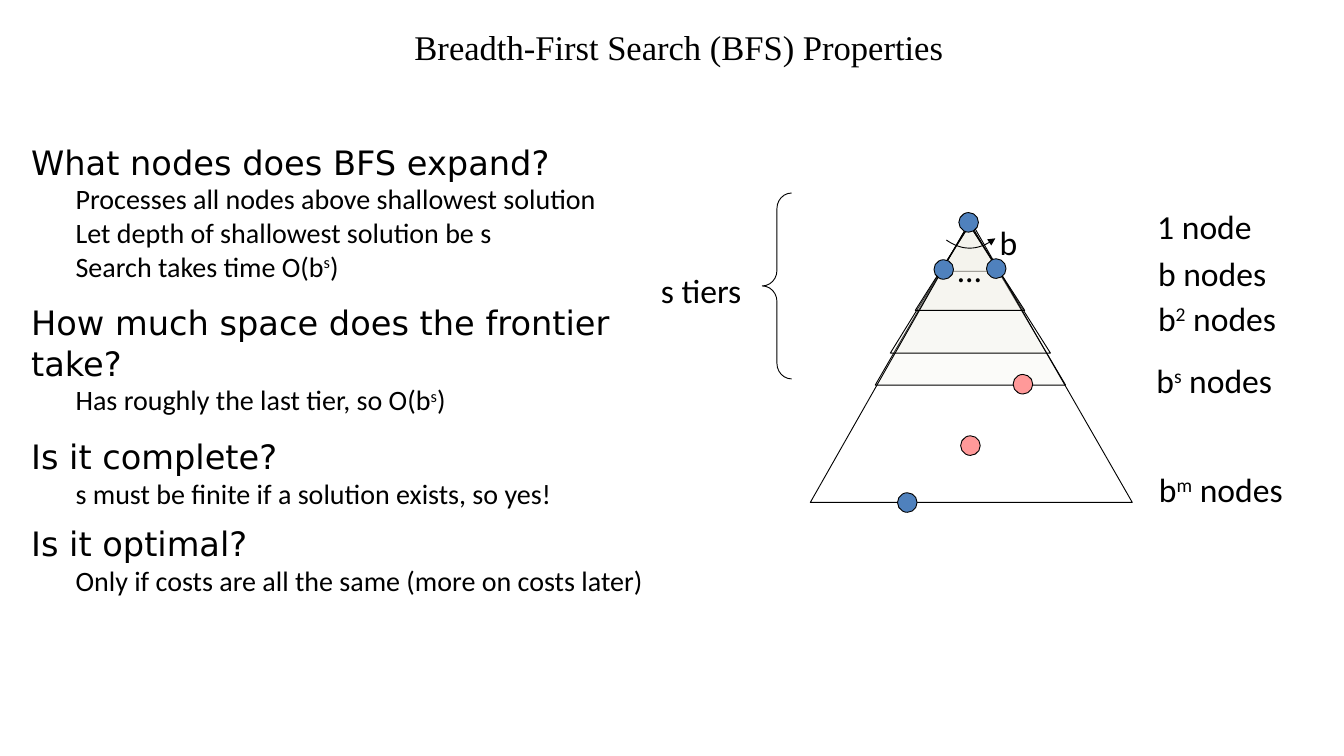
import pptx
import pptx.dml.color
import pptx.enum.shapes
import pptx.enum.text
import pptx.oxml.ns
import pptx.util
from lxml import etree

CELL = pptx.util.Inches(0.1)
COLUMNS, ROWS = 151.1, 85
BLACK, BLUE, PINK, CREAM = "000000", "4F81BD", "FF9999", "EEECE1"
SHAPES = pptx.enum.shapes.MSO_SHAPE

HEADING = dict(font="DejaVu Sans", size=27.2)
DETAIL = dict(font="Calibri", size=22.7, indent=5)
LABEL = dict(font="Calibri", size=27.2)

# Space above the topic, its question, its answers
TOPICS = [
    (0, "What nodes does BFS expand?",
     ["Processes all nodes above shallowest solution",
      "Let depth of shallowest solution be s",
      "Search takes time O(b^s^)"]),
    (15.8, "How much space does the frontier take?",
     ["Has roughly the last tier, so O(b^s^)"]),
    (15.8, "Is it complete?",
     ["s must be finite if a solution exists, so yes!"]),
    (10.6, "Is it optimal?",
     ["Only if costs are all the same (more on costs later)"]),
]

# Apex column and row, left and right end of the base, base row
TIERS = [
    (109, 25.3, 105.7, 112.4, 30.5),
    (109, 25, 98.4, 119.8, 43.3),
    (109, 25.3, 100.1, 118.1, 39.7),
    (109, 25.3, 102.9, 115.2, 34.9),
]
WHOLE_TREE = (109.1, 24.8, 91.1, 127.3, 56.5)

# Centre column and row, colour
NODES = [
    (108.9, 25, BLUE), (106.1, 30.3, BLUE), (112, 30.2, BLUE),
    (102, 56.5, BLUE), (115, 43.2, PINK), (109.1, 50.1, PINK),
]
NODE_SIZE = 2.2

# Text, left, top, width
LABELS = [
    ("…", 106.6, 27.4, 3.4),
    ("b", 111.3, 24.3, 3.7),
    ("1 node", 129, 22.5, 13.9),
    ("b nodes", 129.1, 27.8, 17),
    ("b^2^ nodes", 129.1, 32.9, 17),
    ("b^s^ nodes", 128.9, 39.9, 22.2),
    ("b^m^ nodes", 129.2, 52.1, 18.1),
    ("s tiers", 73.2, 29.7, 15.7),
]


def cells(*lengths):
    return [round(length * CELL) for length in lengths]


def color(value):
    return pptx.dml.color.RGBColor.from_string(value)


def style(shape, fill=None, opacity=100):
    shape.shadow.inherit = False
    shape.line.color.rgb = color(BLACK)
    shape.line.width = pptx.util.Pt(0.75)
    if fill is None:
        shape.fill.background()
        return
    shape.fill.solid()
    shape.fill.fore_color.rgb = color(fill)
    if opacity < 100:
        tint = shape.fill._xPr.find(".//" + pptx.oxml.ns.qn("a:srgbClr"))
        alpha = etree.SubElement(tint, pptx.oxml.ns.qn("a:alpha"))
        alpha.set("val", str(opacity * 1000))


def write(paragraph, text, *, font, size, indent=0, before=0):
    """Fill a paragraph; text between carets is superscript."""
    paragraph.space_before = pptx.util.Pt(before)
    if indent:
        paragraph._p.get_or_add_pPr().set("marL", str(cells(indent)[0]))
    for position, piece in enumerate(text.split("^")):
        run = paragraph.add_run()
        run.text = piece
        run.font.name = font
        run.font.size = pptx.util.Pt(size)
        run.font.color.rgb = color(BLACK)
        if position % 2:
            run._r.get_or_add_rPr().set("baseline", "30000")


def text_frame(slide, left, top, width, height, inset=(0, 0)):
    box = slide.shapes.add_textbox(*cells(left, top, width, height))
    frame = box.text_frame
    frame.word_wrap = True
    frame.vertical_anchor = pptx.enum.text.MSO_ANCHOR.TOP
    frame.margin_left = frame.margin_right = cells(inset[0])[0]
    frame.margin_top = frame.margin_bottom = cells(inset[1])[0]
    return frame


def add_topics(slide):
    frame = text_frame(slide, 3.5, 15.9, 70.5, 54.9)
    paragraph = frame.paragraphs[0]
    for before, question, answers in TOPICS:
        if before:
            paragraph = frame.add_paragraph()
        write(paragraph, question, before=before, **HEADING)
        for answer in answers:
            write(frame.add_paragraph(), answer, **DETAIL)


def add_outline(slide, points, close):
    start, *others = [cells(*point) for point in points]
    builder = slide.shapes.build_freeform(*start)
    builder.add_line_segments(others, close=close)
    return builder.convert_to_shape()


def add_triangle(slide, apex, top, left, right, base, fill=None):
    corners = [(apex, top), (left, base), (right, base)]
    style(add_outline(slide, corners, True), fill, 20)


def add_node(slide, column, row, fill):
    corner = (column - NODE_SIZE / 2, row - NODE_SIZE / 2)
    node = slide.shapes.add_shape(
        SHAPES.OVAL, *cells(*corner, NODE_SIZE, NODE_SIZE))
    style(node, fill)


def add_branching_arrow(slide):
    steps = [step / 24 for step in range(25)]
    curve = [(106.4 + 5.5 * t, 27 - 0.2 * t + 4 * t * (1 - t)) for t in steps]
    arrow = add_outline(slide, curve, False)
    style(arrow)
    head = etree.SubElement(arrow.line._get_or_add_ln(),
                            pptx.oxml.ns.qn("a:tailEnd"))
    head.set("type", "triangle")


def add_tier_brace(slide):
    brace = slide.shapes.add_shape(
        SHAPES.LEFT_BRACE, *cells(85.7, 21.7, 3.3, 20.9))
    brace.adjustments[0] = 0.53
    brace.adjustments[1] = 0.5
    style(brace)


def main():
    deck = pptx.Presentation()
    deck.slide_width, deck.slide_height = cells(COLUMNS, ROWS)
    slide = deck.slides.add_slide(deck.slide_layouts[6])

    title = text_frame(slide, 46.6, 2.9, 101.5, 4.7)
    write(title.paragraphs[0], "Breadth-First Search (BFS) Properties",
          font="Times New Roman", size=28)
    add_topics(slide)

    for tier in TIERS:
        add_triangle(slide, *tier, fill=CREAM)
    add_triangle(slide, *WHOLE_TREE)
    for node in NODES:
        add_node(slide, *node)
    add_branching_arrow(slide)
    add_tier_brace(slide)
    for text, left, top, width in LABELS:
        frame = text_frame(slide, left, top, width, 5.7, inset=(1.1, 0.6))
        write(frame.paragraphs[0], text, **LABEL)

    deck.save("out.pptx")


if __name__ == "__main__":
    main()
